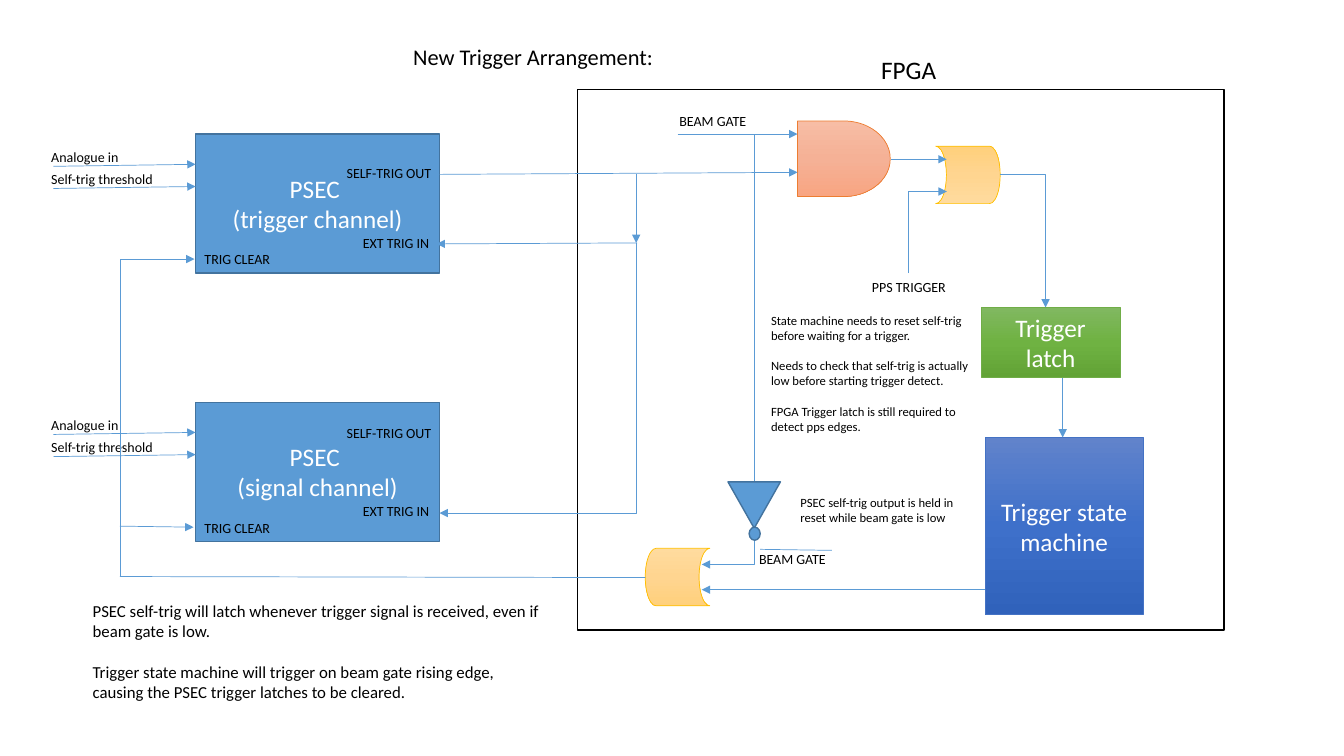
from copy import deepcopy
from dataclasses import dataclass

from lxml.etree import SubElement
from pptx import Presentation
from pptx.dml.color import RGBColor
from pptx.enum.shapes import MSO_CONNECTOR as Wire, MSO_SHAPE as Shape
from pptx.enum.text import MSO_ANCHOR as Anchor, PP_ALIGN as Align
from pptx.oxml.ns import qn
from pptx.util import Inches, Pt

FONT = "Calibri"
BLACK, WHITE = "000000", "FFFFFF"
BLUE, BLUE_EDGE = "5B9BD5", "43739E"
PEACH = ("F7BDA5", "F5B196", "F8A582")
AMBER = ("FFDB9E", "FFD590", "FFD07C")
GREEN = ("81B861", "6FB242", "62A336")
ROYAL = ("6183CB", "3E70CA", "3062BB")


def color(value):
    """Turn a hex string into a colour."""
    return RGBColor.from_string(value)


def fill_gradient(shape, stops):
    """Fill a shape from top to bottom through three evenly spaced colours."""
    shape.fill.gradient()
    shape.fill.gradient_angle = 270
    stop_list = next(shape._element.iter(qn("a:gsLst")))
    stop_list.append(deepcopy(stop_list[-1]))
    for index, (stop, value) in enumerate(zip(shape.fill.gradient_stops, stops)):
        stop.color.rgb = color(value)
        stop.position = index / 2


def write(frame, lines, size, ink, align=Align.LEFT, gap=0):
    """Write one paragraph per line, with a gap in points between them."""
    for index, line in enumerate(lines):
        para = frame.add_paragraph() if index else frame.paragraphs[0]
        para.text = line
        para.alignment = align
        para.font.name = FONT
        para.font.size = Pt(size)
        para.font.color.rgb = color(ink)
        if index:
            para.space_before = Pt(gap)


@dataclass
class Region:
    """A part of the page; all positions count in inches from its corner."""
    page: object
    left: float = 0
    top: float = 0

    def place(self, x, y):
        """Return the page position of a point in this region."""
        return Inches(self.left + x), Inches(self.top + y)

    def block(self, kind, x, y, width, height, fill, edge, lines=(), weight=0.5, turn=0):
        """Add a preset shape with a plain or gradient fill and centred text."""
        shape = self.page.shapes.add_shape(
            kind, *self.place(x, y), Inches(width), Inches(height))
        shape.shadow.inherit = False
        shape.rotation = turn
        if isinstance(fill, str):
            shape.fill.solid()
            shape.fill.fore_color.rgb = color(fill)
        else:
            fill_gradient(shape, fill)
        shape.line.color.rgb = color(edge)
        shape.line.width = Pt(weight)
        shape.text_frame.vertical_anchor = Anchor.MIDDLE
        write(shape.text_frame, lines, 18, WHITE, Align.CENTER)

    def label(self, x, y, *lines, width=1.42, height=0.27, size=10, gap=0, wrap=True):
        """Add a black text box."""
        box = self.page.shapes.add_textbox(
            *self.place(x, y), Inches(width), Inches(height))
        box.text_frame.word_wrap = wrap
        write(box.text_frame, lines, size, BLACK, gap=gap)

    def wire(self, start, end, head=True, kind=Wire.STRAIGHT):
        """Add a thin blue connector, with an arrowhead unless told otherwise."""
        wire = self.page.shapes.add_connector(kind, *self.place(*start), *self.place(*end))
        wire.line.color.rgb = color(BLUE)
        wire.line.width = Pt(0.5)
        if head:
            SubElement(wire.line._get_or_add_ln(), qn("a:tailEnd"), type="triangle")
        SubElement(wire._element.spPr, qn("a:effectLst"))
        return wire

    def corner(self, start, end, down_first=True):
        """Add an arrow with one right-angled turn, vertical part first by default."""
        wire = self.wire(start, end, kind=Wire.ELBOW)
        properties = wire._element.spPr
        properties.find(qn("a:prstGeom")).set("prst", "bentConnector2")
        if down_first:
            center_x, center_y = wire.left + wire.width // 2, wire.top + wire.height // 2
            wire.width, wire.height = wire.height, wire.width
            wire.left, wire.top = center_x - wire.width // 2, center_y - wire.height // 2
            frame = properties.find(qn("a:xfrm"))
            frame.set("rot", str(90 * 60000))
            frame.set("flipH", str(int(end[1] < start[1])))
            frame.set("flipV", str(int(end[0] > start[0])))


def add_psec(page, left, top, channel, output_y):
    """Draw one PSEC chip with its input arrows and pin names."""
    chip = Region(page, left, top)
    chip.block(Shape.RECTANGLE, 0, 0, 2.42, 1.38, BLUE, BLUE_EDGE,
               ("PSEC ", f"({channel} channel)"), weight=1)
    for index, name in enumerate(("Analogue in", "Self-trig threshold")):
        y = 0.31 + 0.22 * index
        chip.wire((-1.41, y + 0.01), (0, y - 0.01))
        chip.label(-1.53, y - 0.22, name)
    chip.label(1.4, output_y, "SELF-TRIG OUT", width=1.14)
    chip.label(1.56, 0.95, "EXT TRIG IN", width=1.14)
    chip.label(-0.01, 1.11, "TRIG CLEAR", width=1.14)


def add_fpga(page, left, top):
    """Draw the FPGA frame with its gates, latch, state machine and notes."""
    fpga = Region(page, left, top)
    fpga.block(Shape.RECTANGLE, 0, 0, 6.41, 5.36, WHITE, BLACK, weight=1)
    fpga.label(2.91, -0.4, "FPGA", width=0.75, height=0.4, size=18, wrap=False)

    fpga.block(Shape.FLOWCHART_DELAY, 2.18, 0.31, 0.92, 0.75, PEACH, "ED7D31")
    for x, y, turn in ((3.55, 0.56, 180), (0.67, 4.55, 0)):
        fpga.block(Shape.FLOWCHART_STORED_DATA, x, y, 0.64, 0.57, AMBER, "FFC000", turn=turn)
    fpga.block(Shape.RECTANGLE, 4, 2.16, 1.38, 0.69, GREEN, "70AD47", ["Trigger latch"])
    fpga.block(Shape.RECTANGLE, 4.04, 3.45, 1.57, 1.76, ROYAL, "4472C4",
               ["Trigger state machine"])

    fpga.wire((0.99, 0.44), (2.18, 0.44))
    fpga.wire((3.11, 0.69), (3.66, 0.69))
    fpga.wire((4.81, 2.86), (4.81, 3.45))
    fpga.wire((4.04, 4.96), (1.23, 4.96))
    fpga.corner((4.19, 0.84), (4.64, 2.16), down_first=False)
    fpga.corner((3.28, 1.82), (3.66, 1.01))
    fpga.corner((1.75, 0.45), (1.23, 4.71))

    fpga.block(Shape.ISOSCELES_TRIANGLE, 1.49, 3.89, 0.52, 0.46, BLUE, BLUE_EDGE,
               weight=1, turn=180)
    fpga.block(Shape.OVAL, 1.7, 4.34, 0.11, 0.13, BLUE, BLUE_EDGE, weight=1)

    fpga.label(0.91, 0.18, "BEAM GATE", width=0.94)
    fpga.label(2.82, 1.82, "PPS TRIGGER", width=0.94)
    fpga.label(1.7, 4.52, "BEAM GATE", width=0.94)
    fpga.wire((1.81, 4.56), (2.52, 4.57), head=False)
    fpga.label(1.82, 2.16,
               "State machine needs to reset self-trig before waiting for a trigger.",
               "Needs to check that self-trig is actually low before starting trigger detect.",
               "FPGA Trigger latch is still required to detect pps edges.",
               width=2.16, height=1.62, size=9, gap=11)
    fpga.label(2.11, 3.97, "PSEC self-trig output is held in ",
               "reset while beam gate is low", width=2.04, height=0.56, size=9)


def add_wiring(page):
    """Join the chips to the FPGA with trigger and clear lines."""
    wiring = Region(page)
    wiring.wire((4.36, 1.73), (7.91, 1.71))
    wiring.wire((6.31, 1.73), (6.31, 2.41))
    wiring.wire((6.32, 2.41), (4.33, 2.42))
    wiring.corner((6.31, 2.41), (4.36, 5.09))
    wiring.wire((6.4, 5.73), (1.19, 5.72), head=False)
    wiring.corner((1.19, 5.72), (1.93, 2.57))
    wiring.wire((1.19, 5.22), (1.92, 5.23))


def add_captions(page):
    """Write the title and the note under the diagram."""
    captions = Region(page)
    captions.label(4, 0.38, "New Trigger Arrangement:", width=3.46, height=0.37, size=16)
    captions.label(0.82, 5.91,
                   "PSEC self-trig will latch whenever trigger signal is received, "
                   "even if beam gate is low.",
                   "Trigger state machine will trigger on beam gate rising edge, "
                   "causing the PSEC trigger latches to be cleared.",
                   width=4.68, height=1.31, size=12, gap=14.6)


deck = Presentation()
deck.slide_width, deck.slide_height = Inches(13.33), Inches(7.5)
page = deck.slides.add_slide(deck.slide_layouts[6])
add_psec(page, 1.94, 1.33, "trigger", output_y=0.25)
add_psec(page, 1.94, 3.99, "signal", output_y=0.17)
add_fpga(page, 5.73, 0.89)
add_wiring(page)
add_captions(page)
deck.save("out.pptx")
